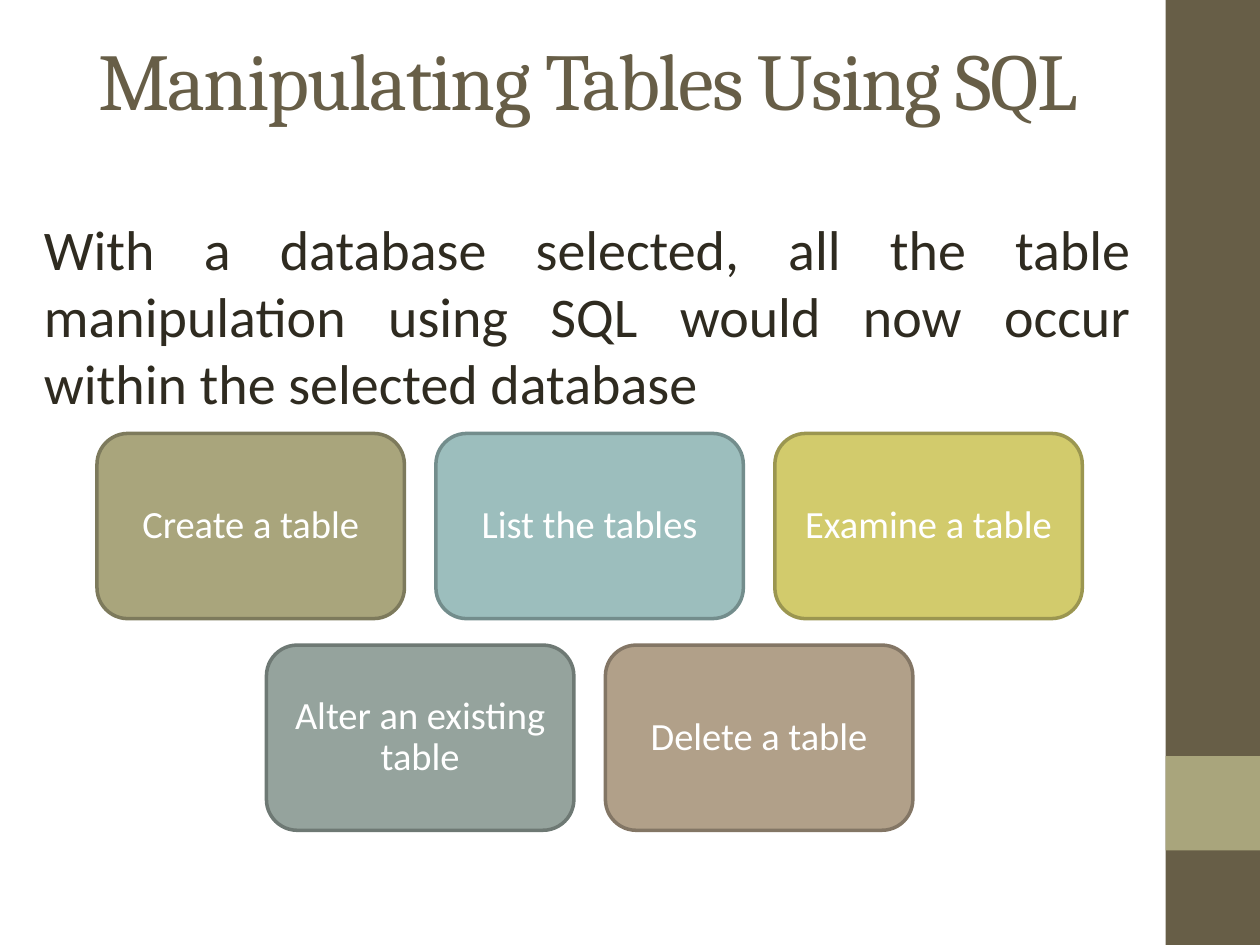
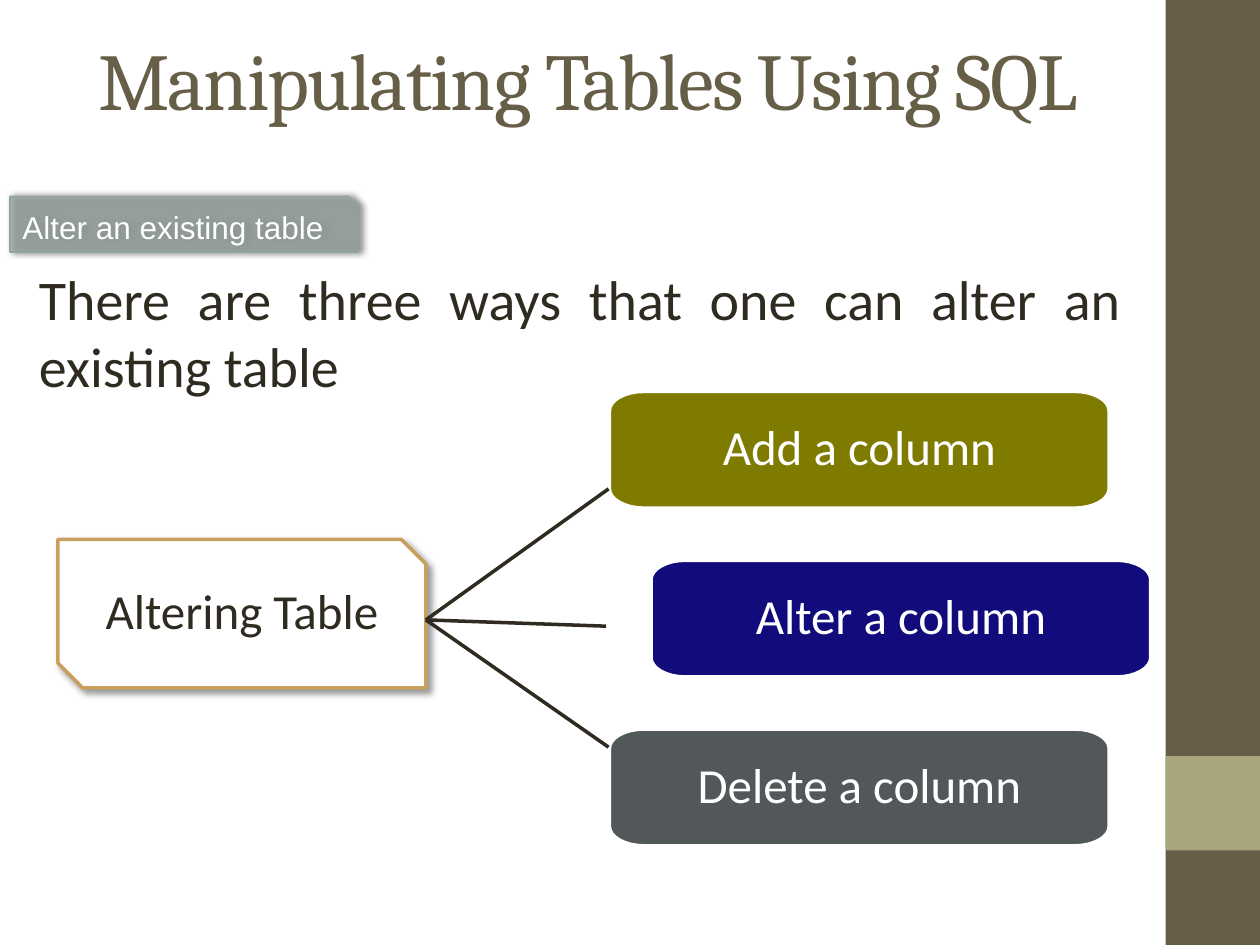
"""Build two slides on changing tables with SQL."""
import math
from dataclasses import dataclass

import lxml.etree
import pptx
import pptx.dml.color
import pptx.enum.shapes
import pptx.enum.text
import pptx.oxml.ns
import pptx.util

Inches = pptx.util.Inches
Kind = pptx.enum.shapes.MSO_SHAPE
Align = pptx.enum.text.PP_ALIGN
Anchor = pptx.enum.text.MSO_ANCHOR

BROWN, KHAKI, INK, WHITE, SAGE = "675E47", "A9A57C", "2F2B20", "FFFFFF", "95A39D"
HEADING = "Manipulating Tables Using SQL"


@dataclass
class Box:
    left: float
    top: float
    width: float
    height: float

    def place(self) -> tuple:
        return tuple(Inches(v) for v in (self.left, self.top, self.width, self.height))


@dataclass
class Style:
    size: float
    color: str = WHITE
    font: str = "Calibri"
    align: Align = Align.CENTER
    anchor: Anchor = Anchor.MIDDLE
    inset: float = 0.1
    spacing: float = 1.0


@dataclass
class Tile:
    text: str
    fill: str
    edge: str


@dataclass
class Choice:
    text: str
    fill: str
    left: float
    tip: tuple


BANDS = [(Box(9.25, 0, 0.75, 7.5), BROWN), (Box(9.25, 6, 0.75, 0.75), KHAKI)]
TITLE = Style(46, BROWN, "Cambria")
BODY = Style(32, INK, align=Align.JUSTIFY, anchor=Anchor.TOP)
TILE = Style(22, inset=0.09, spacing=0.9)
LABEL = Style(18, font="Arial", align=Align.JUSTIFY)
ROOT = Style(28, INK, inset=0.18, spacing=0.9)
CHOICE = Style(28, inset=0.14, spacing=0.9)

ROWS = [
    [Tile("Create a table", KHAKI, "7D7A5C"),
     Tile("List the tables", "9CBEBD", "738D8C"),
     Tile("Examine a table", "D2CB6C", "9B9650")],
    [Tile("Alter an existing table", SAGE, "6E7974"),
     Tile("Delete a table", "B1A089", "837665")],
]
CHOICES = [
    Choice("Add a column", "7F7B00", 4.83, (4.83, 3.88)),
    Choice("Alter a column", "120B7C", 5.16, (4.81, 4.97)),
    Choice("Delete a column", "525759", 4.83, (4.83, 5.93)),
]


def tint(color: str) -> pptx.dml.color.RGBColor:
    """Turn a hex string into a colour."""
    return pptx.dml.color.RGBColor.from_string(color)


def child(node, tag: str, **attrs):
    """Add a drawing element under a node."""
    return lxml.etree.SubElement(node, pptx.oxml.ns.qn(tag), attrs)


def write(shape, text: str, style: Style) -> None:
    """Put one styled paragraph in a shape."""
    frame = shape.text_frame
    frame.word_wrap = True
    frame.vertical_anchor = style.anchor
    frame.margin_left = frame.margin_right = Inches(style.inset)
    frame.margin_top = frame.margin_bottom = Inches(min(style.inset, 0.05))
    frame.text = text
    para = frame.paragraphs[0]
    para.alignment = style.align
    para.line_spacing = style.spacing
    para.space_before = pptx.util.Pt(0)
    para.font.name = style.font
    para.font.size = pptx.util.Pt(style.size)
    para.font.color.rgb = tint(style.color)


def paint(shape, fill: str, edge: str = "", weight: float = 0) -> None:
    """Set fill and outline, and drop the shadow."""
    shape.shadow.inherit = False
    shape.fill.solid()
    shape.fill.fore_color.rgb = tint(fill)
    if edge:
        shape.line.color.rgb = tint(edge)
        shape.line.width = pptx.util.Pt(weight)
    else:
        shape.line.fill.background()


def shade(shape, alpha: int, blur: float, shift: float, angle: int) -> None:
    """Cast a soft black shadow."""
    effects = shape.element.spPr.find(pptx.oxml.ns.qn("a:effectLst"))
    cast = child(effects, "a:outerShdw", blurRad=str(pptx.util.Pt(blur)),
                 dist=str(pptx.util.Pt(shift)), dir=str(angle * 60000),
                 algn="tl", rotWithShape="0")
    child(child(cast, "a:srgbClr", val="000000"), "a:alpha", val=str(alpha * 1000))


def add_pill(slide, box: Box, round_x: float = 0.28, round_y: float = 0.16):
    """Draw a box with oval corners."""
    points = []
    for turn in range(4):
        for step in range(9):
            angle = math.radians(turn * 90 + step * 11.25)
            middle = math.radians(turn * 90 + 45)
            side_x = math.copysign(box.width / 2 - round_x, math.cos(middle))
            side_y = math.copysign(box.height / 2 - round_y, math.sin(middle))
            x = box.left + box.width / 2 + side_x + round_x * math.cos(angle)
            y = box.top + box.height / 2 + side_y + round_y * math.sin(angle)
            points.append((Inches(x), Inches(y)))
    outline = slide.shapes.build_freeform(*points[0])
    outline.add_line_segments(points[1:], close=True)
    return outline.convert_to_shape()


def add_line(slide, start: tuple, end: tuple) -> None:
    """Draw a plain dark line."""
    ends = [Inches(v) for v in (*start, *end)]
    line = slide.shapes.add_connector(pptx.enum.shapes.MSO_CONNECTOR.STRAIGHT, *ends)
    line.line.color.rgb = tint(INK)
    line.line.width = pptx.util.Pt(2)
    child(line.element.spPr, "a:effectLst")


def add_bands(slide) -> None:
    """Draw the side bands and move them to the layout."""
    for box, color in BANDS:
        band = slide.shapes.add_shape(Kind.RECTANGLE, *box.place())
        paint(band, color)
        slide.slide_layout.shapes.element.append(band.element)


def add_slide(deck, body: str, box: Box):
    """Add a slide with its title and body text."""
    slide = deck.slides.add_slide(deck.slide_layouts[5])
    title = slide.shapes.title
    title.left, title.top, title.width, title.height = Box(0.5, 0, 8.33, 1.25).place()
    write(title, HEADING, TITLE)
    for node in title.element.iter(pptx.oxml.ns.qn("a:defRPr")):
        node.set("spc", "-100")
    write(slide.shapes.add_textbox(*box.place()), body, BODY)
    return slide


def add_tiles(slide) -> None:
    """Lay out centred rows of tiles."""
    width, height, gap, center = 2.44, 1.47, 0.25, 4.68
    for row, tiles in enumerate(ROWS):
        left = center - (len(tiles) * (width + gap) - gap) / 2
        for col, tile in enumerate(tiles):
            box = Box(left + col * (width + gap), 3.44 + row * 1.68, width, height)
            shape = slide.shapes.add_shape(Kind.ROUNDED_RECTANGLE, *box.place())
            paint(shape, tile.fill, tile.edge, 2)
            write(shape, tile.text, TILE)


def add_label(slide) -> None:
    """Draw the topic label."""
    label = slide.shapes.add_shape(Kind.SNIP_1_RECTANGLE, *Box(0.08, 1.56, 2.76, 0.44).place())
    paint(label, SAGE, SAGE, 1)
    fill = label.element.spPr.find(pptx.oxml.ns.qn("a:solidFill"))
    child(fill[0], "a:alpha", val="70000")
    shade(label, 60, 4, 2, 0)
    write(label, "Alter an existing table", LABEL)


def add_tree(slide) -> None:
    """Draw the root box and its three choices."""
    root = slide.shapes.add_shape(Kind.SNIP_2_DIAG_RECTANGLE, *Box(0.46, 4.28, 2.92, 1.18).place())
    paint(root, WHITE, "C89F5D", 2)
    shade(root, 40, 4, 3, 45)
    write(root, "Altering Table", ROOT)
    for row, choice in enumerate(CHOICES):
        pill = add_pill(slide, Box(choice.left, 3.1 + row * 1.34, 3.98, 0.94))
        paint(pill, choice.fill, WHITE, 3)
        write(pill, choice.text, CHOICE)
        add_line(slide, (3.38, 4.92), choice.tip)


def main() -> None:
    """Build and save the deck."""
    deck = pptx.Presentation()
    deck.slide_width, deck.slide_height = Inches(10), Inches(7.5)
    first = add_slide(deck, "With a database selected, all the table manipulation using SQL "
                      "would now occur within the selected database", Box(0.25, 1.65, 8.83, 1.18))
    add_bands(first)
    add_tiles(first)
    second = add_slide(deck, "There are three ways that one can alter an existing table",
                       Box(0.21, 2.05, 8.79, 0.87))
    add_label(second)
    add_tree(second)
    deck.save("out.pptx")


if __name__ == "__main__":
    main()
